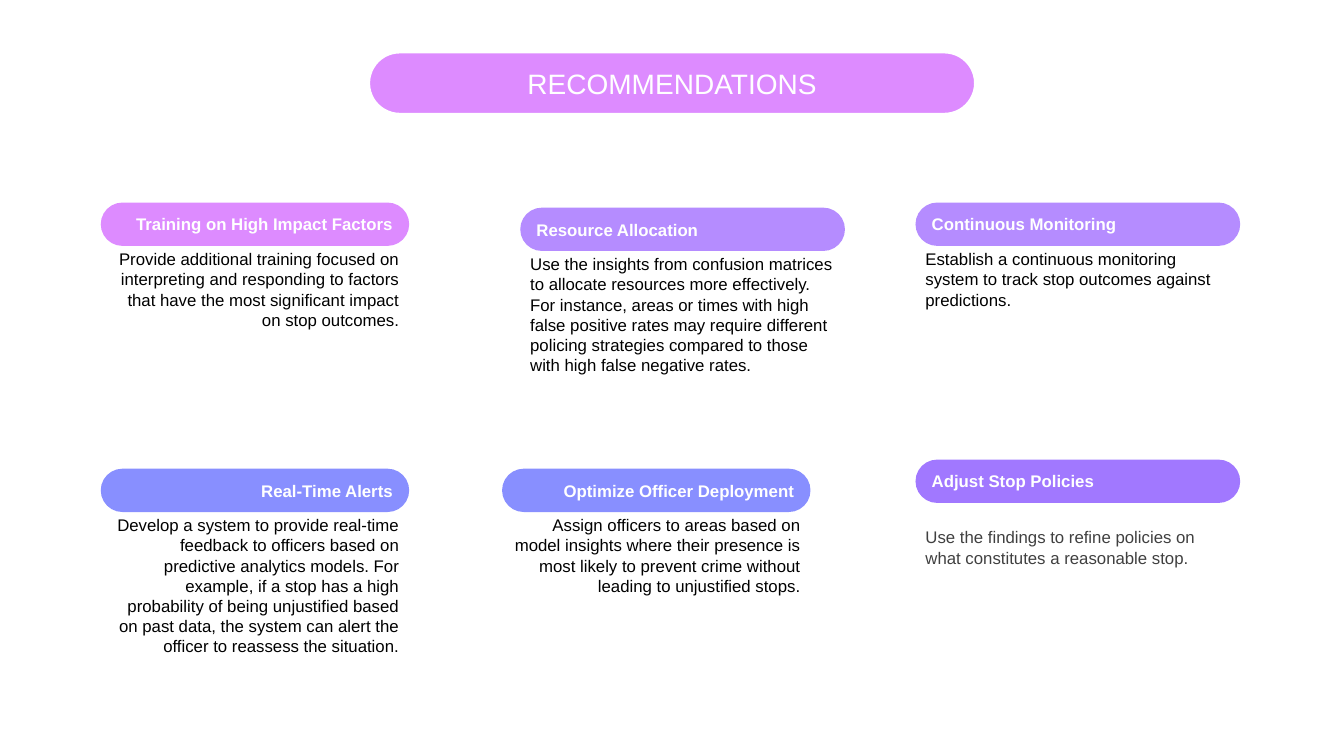
from pptx import Presentation
from pptx.dml.color import RGBColor as RGB
from pptx.enum.shapes import MSO_SHAPE as Shape
from pptx.enum.text import MSO_ANCHOR as Anchor, MSO_AUTO_SIZE as Auto, PP_ALIGN as Align
from pptx.util import Inches, Pt

WIDE, HIGH = Inches(13.33), Inches(7.5)
WHITE = RGB(0xFF, 0xFF, 0xFF)
BLACK = RGB(0x00, 0x00, 0x00)
GREY = RGB(0x40, 0x40, 0x40)
PINK = RGB(0xDD, 0x8B, 0xFF)
LILAC = RGB(0xB5, 0x8C, 0xFF)
BLUE = RGB(0x88, 0x8F, 0xFF)
VIOLET = RGB(0xA1, 0x78, 0xFF)

# All places and sizes are percent of the slide's width or height
SLIM, BROAD = 22.95, 24.16
PILL = 5.73
DROP = 5.47
LINE, PAD = 2.69, 1.33

# left, top, width, align, fill, heading, body, lines, body colour, body drop
CARDS = [
    (7.5, 26.8, SLIM, Align.RIGHT, PINK, "Training on High Impact Factors",
     "Provide additional training focused on interpreting and responding to "
     "factors that have the most significant impact on stop outcomes.", 4, BLACK, DROP),
    (7.5, 62, SLIM, Align.RIGHT, BLUE, "Real-Time Alerts",
     "Develop a system to provide real-time feedback to officers based on "
     "predictive analytics models. For example, if a stop has a high probability "
     "of being unjustified based on past data, the system can alert the officer "
     "to reassess the situation.", 7, BLACK, DROP),
    (68.12, 26.8, BROAD, Align.LEFT, LILAC, "Continuous Monitoring",
     "Establish a continuous monitoring system to track stop outcomes against "
     "predictions.", 3, BLACK, DROP),
    (68.12, 60.8, BROAD, Align.LEFT, VIOLET, "Adjust Stop Policies",
     "Use the findings to refine policies on what constitutes a reasonable stop.",
     2, GREY, 8.27),
    (38.71, 27.47, BROAD, Align.LEFT, LILAC, "Resource Allocation",
     "Use the insights from confusion matrices to allocate resources more "
     "effectively. For instance, areas or times with high false positive rates "
     "may require different policing strategies compared to those with high "
     "false negative rates.", 6, BLACK, DROP),
    (37.36, 62, SLIM, Align.RIGHT, BLUE, "Optimize Officer Deployment",
     "Assign officers to areas based on model insights where their presence is "
     "most likely to prevent crime without leading to unjustified stops.",
     4, BLACK, DROP),
]


def place(x, y, w, h):
    return [int(side * part / 100)
            for side, part in ((WIDE, x), (HIGH, y), (WIDE, w), (HIGH, h))]


def write(shape, text, align, **form):
    frame = shape.text_frame
    frame.word_wrap = True
    para = frame.paragraphs[0]
    para.alignment = align
    run = para.add_run()
    run.text = text
    color = form.pop("color")
    for name, value in {"name": "Arial", "size": Pt(12), **form}.items():
        setattr(run.font, name, value)
    run.font.color.rgb = color


def add_pill(shapes, box, fill, text, align, **form):
    pill = shapes.add_shape(Shape.ROUNDED_RECTANGLE, *place(*box))
    pill.adjustments[0] = 0.5
    pill.shadow.inherit = False
    pill.fill.solid()
    pill.fill.fore_color.rgb = fill
    pill.line.fill.background()
    pill.text_frame.vertical_anchor = Anchor.MIDDLE
    write(pill, text, align, color=WHITE, **form)
    return pill


def add_body(shapes, box, text, align, color):
    body = shapes.add_textbox(*place(*box))
    write(body, text, align, color=color)
    body.text_frame.auto_size = Auto.SHAPE_TO_FIT_TEXT


def add_card(slide, x, y, w, align, fill, head, text, lines, color, drop):
    group = slide.shapes.add_group_shape().shapes
    add_body(group, (x, y + drop, w, PAD + LINE * lines), text, align, color)
    add_pill(group, (x, y, w, PILL), fill, head, align, bold=True)


def main():
    deck = Presentation()
    deck.slide_width, deck.slide_height = WIDE, HIGH
    slide = deck.slides.add_slide(deck.slide_layouts[6])

    # Title
    title = add_pill(slide.shapes, (27.46, 6.93, 45.09, 8.13), PINK,
                     "RECOMMENDATIONS", Align.CENTER, size=Pt(20))
    title.line.color.rgb = WHITE
    title.line.width = Pt(1.5)

    # Six recommendations
    for card in CARDS:
        add_card(slide, *card)

    deck.save("out.pptx")


if __name__ == "__main__":
    main()
